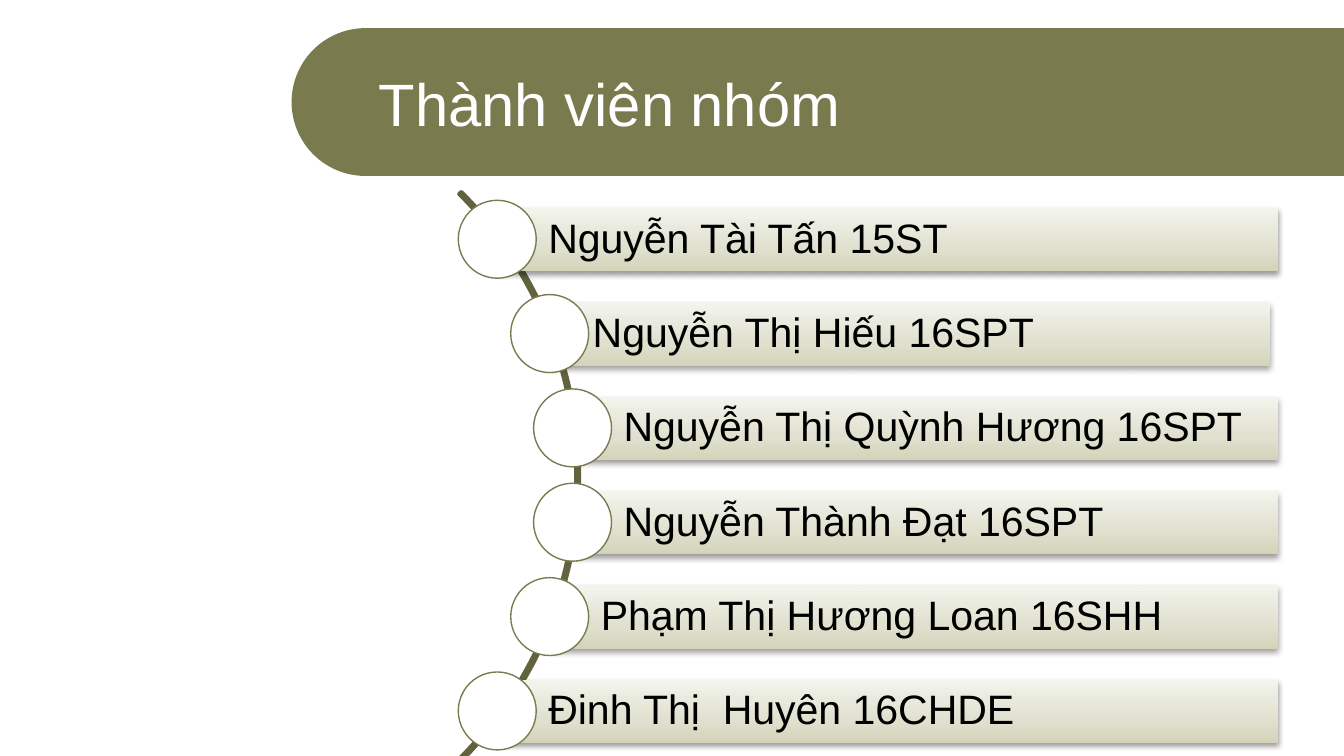
from math import cos, pi, sin

from pptx import Presentation
from pptx.dml.color import RGBColor
from pptx.enum.shapes import MSO_SHAPE
from pptx.enum.text import MSO_ANCHOR, PP_ALIGN
from pptx.oxml import parse_xml
from pptx.oxml.ns import nsdecls, qn
from pptx.util import Inches, Pt

OLIVE = RGBColor(0x79, 0x7B, 0x4F)
DARK_OLIVE = RGBColor(0x61, 0x63, 0x3F)
WHITE = RGBColor(0xFF, 0xFF, 0xFF)
BLACK = RGBColor(0, 0, 0)
BAR_STOPS = (
    (0, RGBColor(0xD3, 0xD4, 0xB9)),
    (35, RGBColor(0xDF, 0xE0, 0xCE)),
    (100, RGBColor(0xF3, 0xF4, 0xEC)),
)
FONT = "Arial"

MEMBERS = (
    ("Nguyễn Tài Tấn 15ST", 3.41, 0),
    ("Nguyễn Thị Hiếu 16SPT", 3.8, -0.06),
    ("Nguyễn Thị Quỳnh Hương 16SPT", 3.97, 0),
    ("Nguyễn Thành Đạt 16SPT", 3.97, 0),
    ("Phạm Thị Hương Loan 16SHH", 3.8, 0),
    ("Đinh Thị  Huyên 16CHDE", 3.41, 0),
)
FIRST_TOP, LAST_TOP = 1.55, 5.06
BAR_RIGHT, BAR_HEIGHT = 9.51, 0.47
DOT_SIZE = 0.58


class SlideBuilder:
    def __init__(self, slide):
        self.s = slide

    def shape(self, kind, x, y, w, h, line=None, line_width=0.75):
        sp = self.s.shapes.add_shape(
            kind, Inches(x), Inches(y), Inches(w), Inches(h))
        sp.shadow.inherit = False
        if line is None:
            sp.line.fill.background()
        else:
            sp.line.color.rgb = line
            sp.line.width = Pt(line_width)
        return sp

    def text(self, sp, text, size, color):
        tf = sp.text_frame
        tf.word_wrap = True
        tf.vertical_anchor = MSO_ANCHOR.MIDDLE
        p = tf.paragraphs[0]
        p.text = text
        p.alignment = PP_ALIGN.LEFT
        r = p.runs[0]
        r.font.name = FONT
        r.font.size = Pt(size)
        r.font.color.rgb = color
        return tf

    def banner(self, left, top, right, height):
        radius = height / 2
        cx, cy = left + radius, top + radius
        angles = [pi / 2 + pi * i / 60 for i in range(61)]
        curve = [(Inches(cx + radius * cos(a)), Inches(cy + radius * sin(a)))
                 for a in angles]
        builder = self.s.shapes.build_freeform(Inches(right), Inches(top))
        builder.add_line_segments([(Inches(right), Inches(top + height))] + curve)
        sp = builder.convert_to_shape()
        sp.shadow.inherit = False
        sp.fill.solid()
        sp.fill.fore_color.rgb = OLIVE
        sp.line.fill.background()

    def title(self, text, x, y, w, h):
        sp = self.s.shapes.add_textbox(Inches(x), Inches(y), Inches(w), Inches(h))
        self.text(sp, text, 32, WHITE)

    def arc(self, x, y, size):
        sp = self.shape(MSO_SHAPE.BLOCK_ARC, x, y, size, size, DARK_OLIVE, 2)
        sp.fill.background()
        for i, value in enumerate((189, 27, 0.004)):
            sp.adjustments[i] = value

    def bar(self, text, x, y, w, h):
        sp = self.shape(MSO_SHAPE.RECTANGLE, x, y, w, h)
        sp.fill.gradient()
        sp.fill.gradient_angle = 90
        spPr = sp._element.spPr
        stops = spPr.find(qn("a:gradFill")).find(qn("a:gsLst"))
        for stop in list(stops):
            stops.remove(stop)
        for pos, color in BAR_STOPS:
            stops.append(parse_xml(
                f'<a:gs {nsdecls("a")} pos="{pos * 1000}">'
                f'<a:srgbClr val="{color}"/></a:gs>'))
        spPr.find(qn("a:effectLst")).append(parse_xml(
            f'<a:outerShdw {nsdecls("a")} blurRad="{Pt(3.1)}" dist="{Pt(1.6)}" '
            'dir="5400000" rotWithShape="0"><a:srgbClr val="000000">'
            '<a:alpha val="38000"/></a:srgbClr></a:outerShdw>'))
        tf = self.text(sp, text, 22, BLACK)
        tf.margin_left = Inches(0.37)
        tf.margin_top = tf.margin_right = tf.margin_bottom = Inches(0.06)
        tf.paragraphs[0].line_spacing = 0.9

    def dot(self, x, y, size):
        sp = self.shape(MSO_SHAPE.OVAL, x, y, size, size, OLIVE)
        sp.fill.solid()
        sp.fill.fore_color.rgb = WHITE


def main():
    prs = Presentation()
    prs.slide_width = Inches(10)
    prs.slide_height = Inches(10 * 9 / 16)
    b = SlideBuilder(prs.slides.add_slide(prs.slide_layouts[6]))
    b.banner(2.17, 0.21, 10, 1.1)
    b.title("Thành viên nhóm", 2.72, 0.45, 7.28, 0.63)
    b.arc(-1.68, 0.55, 5.99)
    step = (LAST_TOP - FIRST_TOP) / (len(MEMBERS) - 1)
    for i, (name, dot_left, shift) in enumerate(MEMBERS):
        top = FIRST_TOP + i * step
        bar_left = dot_left + 0.3
        b.bar(name, bar_left + shift, top, BAR_RIGHT - bar_left, BAR_HEIGHT)
        b.dot(dot_left, top - 0.06, DOT_SIZE)
    prs.save("out.pptx")


if __name__ == "__main__":
    main()
